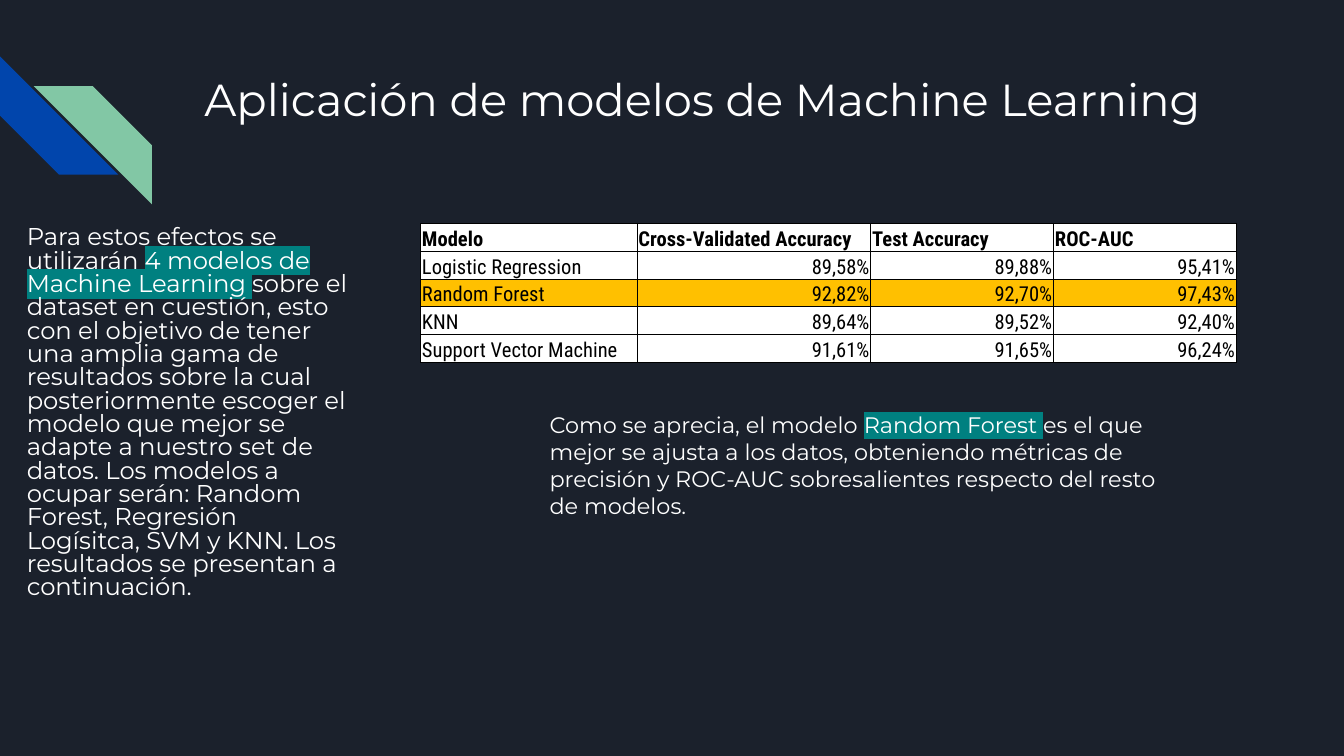
from lxml.etree import SubElement
from pptx import Presentation
from pptx.dml.color import RGBColor
from pptx.enum.shapes import MSO_SHAPE as Shape
from pptx.enum.text import MSO_ANCHOR as Anchor, MSO_AUTO_SIZE as AutoSize, PP_ALIGN as Align
from pptx.oxml import parse_xml
from pptx.oxml.ns import nsdecls, qn
from pptx.util import Inches, Pt

NAVY, BLUE, GREEN, TEAL = "1B212C", "0145AC", "82C7A5", "008080"
WHITE, BLACK, AMBER = "FFFFFF", "000000", "FFC000"

SLIDE_WIDTH = 10
SLIDE_HEIGHT = SLIDE_WIDTH * 9 / 16

RESULTS = [
    ("Modelo", "Cross-Validated Accuracy", "Test Accuracy", "ROC-AUC"),
    ("Logistic Regression", "89,58%", "89,88%", "95,41%"),
    ("Random Forest", "92,82%", "92,70%", "97,43%"),
    ("KNN", "89,64%", "89,52%", "92,40%"),
    ("Support Vector Machine", "91,61%", "91,65%", "96,24%"),
]
BEST_MODEL = "Random Forest"
COLUMN_WIDTHS = (1.61, 1.74, 1.36, 1.36)
RESULTS_HEIGHT = 1.04

INTRO = (
    "Para estos efectos se utilizarán ",
    "4 modelos de Machine Learning ",
    "sobre el dataset en cuestión, esto con el objetivo de tener una amplia gama de "
    "resultados sobre la cual posteriormente escoger el modelo que mejor se adapte a "
    "nuestro set de datos. Los modelos a ocupar serán: Random Forest, Regresión "
    "Logísitca, SVM y KNN. Los resultados se presentan a continuación.",
)
CONCLUSION = (
    "Como se aprecia, el modelo ",
    "Random Forest ",
    "es el que mejor se ajusta a los datos, obteniendo métricas de precisión y ROC-AUC "
    "sobresalientes respecto del resto de modelos.",
)


def rgb(color):
    return RGBColor.from_string(color)


def paint(fill, color):
    fill.solid()
    fill.fore_color.rgb = rgb(color)


def place(shape, left, top, width, height):
    shape.left, shape.top = Inches(left), Inches(top)
    shape.width, shape.height = Inches(width), Inches(height)


def add_text(paragraph, text, size=12, font="Montserrat", color=WHITE, bold=False, highlight=None):
    run = paragraph.add_run()
    run.text = text
    run.font.size = Pt(size)
    run.font.name = font
    run.font.bold = bold
    run.font.color.rgb = rgb(color)
    if highlight:
        marker = parse_xml(
            f'<a:highlight {nsdecls("a")}><a:srgbClr val="{highlight}"/></a:highlight>'
        )
        run.font._element.find(qn("a:solidFill")).addnext(marker)


def prepare_frame(frame, spacing=1.0):
    frame.word_wrap = True
    frame.auto_size = AutoSize.NONE
    frame.vertical_anchor = Anchor.TOP
    frame.margin_left = frame.margin_right = Inches(0.1)
    frame.margin_top = frame.margin_bottom = Inches(0.1)
    paragraph = frame.paragraphs[0]
    paragraph.alignment = Align.LEFT
    paragraph.line_spacing = spacing
    paragraph.space_before = Pt(0)
    return paragraph


def add_highlighted(paragraph, parts, size):
    for text, highlight in zip(parts, (None, TEAL, None)):
        add_text(paragraph, text, size=size, highlight=highlight)


def remove_bullet(paragraph):
    properties = paragraph._p.get_or_add_pPr()
    properties.set("marL", "0")
    properties.set("indent", "0")
    SubElement(properties, qn("a:buNone"))


def add_stripe(slide, left, top, color, rotation=0, flipped=False):
    side = Inches(0.88)
    stripe = slide.shapes.add_shape(
        Shape.DIAGONAL_STRIPE, Inches(left), Inches(top), side, side
    )
    stripe.adjustments[0] = 0.5
    stripe.rotation = rotation
    stripe.shadow.inherit = False
    paint(stripe.fill, color)
    stripe.line.fill.background()
    if flipped:
        stripe._element.spPr.find(qn("a:xfrm")).set("flipH", "1")


def add_borders(cell):
    properties = cell._tc.get_or_add_tcPr()
    for side in ("lnL", "lnR", "lnT", "lnB"):
        border = SubElement(properties, qn(f"a:{side}"), w=str(Pt(0.5)))
        fill = SubElement(border, qn("a:solidFill"))
        SubElement(fill, qn("a:srgbClr"), val=BLACK)


def format_cell(cell, text, fill, bold, align):
    cell.margin_left = cell.margin_right = cell.margin_top = Inches(0.01)
    cell.margin_bottom = 0
    cell.vertical_anchor = Anchor.BOTTOM
    add_borders(cell)
    paint(cell.fill, fill)
    paragraph = cell.text_frame.paragraphs[0]
    paragraph.alignment = align
    add_text(paragraph, text, size=11, font="Roboto Condensed", color=BLACK, bold=bold)


def add_results(slide, left, top):
    results = slide.shapes.add_table(
        len(RESULTS), len(COLUMN_WIDTHS), Inches(left), Inches(top),
        Inches(sum(COLUMN_WIDTHS)), Inches(RESULTS_HEIGHT),
    ).table
    for column, width in zip(results.columns, COLUMN_WIDTHS):
        column.width = Inches(width)
    for r, values in enumerate(RESULTS):
        results.rows[r].height = Inches(RESULTS_HEIGHT / len(RESULTS))
        fill = AMBER if values[0] == BEST_MODEL else WHITE
        for c, value in enumerate(values):
            align = Align.RIGHT if r and c else Align.LEFT
            format_cell(results.cell(r, c), value, fill, r == 0, align)


def main():
    deck = Presentation()
    deck.slide_width, deck.slide_height = Inches(SLIDE_WIDTH), Inches(SLIDE_HEIGHT)
    slide = deck.slides.add_slide(deck.slide_layouts[1])
    paint(slide.background.fill, NAVY)

    add_stripe(slide, 0, 0.42, BLUE, rotation=270)
    add_stripe(slide, 0.25, 0.64, GREEN, flipped=True)

    title, intro = slide.placeholders
    place(title, 1.42, 0.43, 7.7, 1)
    add_text(prepare_frame(title.text_frame), "Aplicación de modelos de Machine Learning", size=24)

    place(intro, 0.1, 1.59, 2.64, 3.21)
    intro_paragraph = prepare_frame(intro.text_frame, spacing=0.8)
    remove_bullet(intro_paragraph)
    add_highlighted(intro_paragraph, INTRO, 13)

    conclusion = slide.shapes.add_textbox(
        Inches(3.99), Inches(2.96), Inches(4.92), Inches(3.21)
    )
    add_highlighted(prepare_frame(conclusion.text_frame), CONCLUSION, 12)

    add_results(slide, 3.13, 1.66)
    deck.save("out.pptx")


if __name__ == "__main__":
    main()
